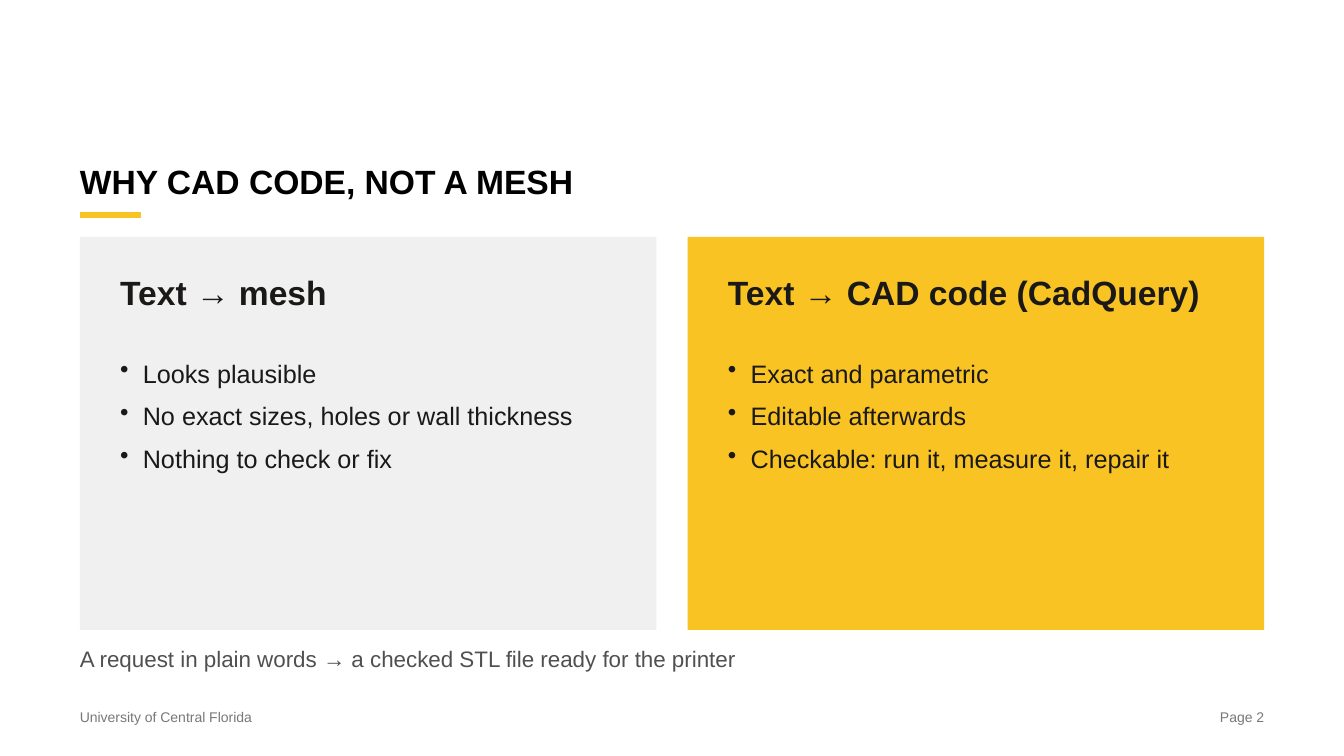
import pptx
import pptx.util
import pptx.dml.color
import pptx.enum.shapes
import pptx.enum.text
import pptx.oxml
import pptx.oxml.ns
from lxml import etree

Pt = pptx.util.Pt
ALIGN = pptx.enum.text.PP_ALIGN
ANCHOR = pptx.enum.text.MSO_ANCHOR

TITLE = "WHY CAD CODE, NOT A MESH"
CARDS = [
    {"heading": "Text → mesh", "fill": "mesh_card",
     "points": ["Looks plausible",
                "No exact sizes, holes or wall thickness",
                "Nothing to check or fix"]},
    {"heading": "Text → CAD code (CadQuery)", "fill": "code_card",
     "points": ["Exact and parametric",
                "Editable afterwards",
                "Checkable: run it, measure it, repair it"]},
]
SUMMARY = "A request in plain words → a checked STL file ready for the printer"
FOOTER = "University of Central Florida"
PAGE = "Page 2"

THEME = {
    "font": "Arial",
    "colors": {"title": "000000", "body": "1A1918", "summary": "505050",
               "footer": "787878", "accent": "F9C423",
               "mesh_card": "F0F0F0", "code_card": "F8C323"},
    "sizes": {"title": 24, "heading": 24, "body": 18, "summary": 16, "footer": 10},
}

SLIDE_W, SLIDE_H = 960, 540
MARGIN = 57
CONTENT_W = SLIDE_W - 2 * MARGIN
CARD_TOP, CARD_H, CARD_GAP, CARD_PAD = 169.2, 280.8, 22.4, 28.8
CARD_W = (CONTENT_W - CARD_GAP * (len(CARDS) - 1)) / len(CARDS)
FOOTER_TOP, FOOTER_W, FOOTER_H = 506.2, 161.3, 12.2
BULLET_INDENT, POINT_GAP = 16.2, 9


def color(name):
    return pptx.dml.color.RGBColor.from_string(THEME["colors"][name])


def add_bullet(paragraph):
    properties = paragraph._p.get_or_add_pPr()
    properties.set("marL", str(Pt(BULLET_INDENT)))
    properties.set("indent", str(-Pt(BULLET_INDENT)))
    bullet = etree.SubElement(properties, pptx.oxml.ns.qn("a:buChar"))
    bullet.set("char", "•")


def add_text(slide, lines, box, size, ink, bold=False, align=ALIGN.LEFT,
             anchor=ANCHOR.TOP, bulleted=False):
    frame = slide.shapes.add_textbox(*map(Pt, box)).text_frame
    frame.word_wrap = True
    frame.vertical_anchor = anchor
    frame.margin_left = frame.margin_right = 0
    frame.margin_top = frame.margin_bottom = 0
    frame.text = "\n".join(lines)
    for index, paragraph in enumerate(frame.paragraphs):
        if bulleted:
            add_bullet(paragraph)
        if index:
            paragraph.space_before = Pt(POINT_GAP)
        paragraph.alignment = align
        for run in paragraph.runs:
            run.font.name = THEME["font"]
            run.font.size = Pt(THEME["sizes"][size])
            run.font.bold = bold
            run.font.color.rgb = color(ink)


def add_accent(slide, left, y, width):
    accent = slide.shapes.add_connector(
        pptx.enum.shapes.MSO_CONNECTOR.STRAIGHT,
        Pt(left), Pt(y), Pt(left + width), Pt(y))
    accent.line.color.rgb = color("accent")
    accent.line.width = Pt(4)
    etree.SubElement(accent._element.spPr, pptx.oxml.ns.qn("a:effectLst"))


def add_card(slide, card, left):
    panel = slide.shapes.add_shape(
        pptx.enum.shapes.MSO_SHAPE.RECTANGLE,
        Pt(left), Pt(CARD_TOP), Pt(CARD_W), Pt(CARD_H))
    panel.shadow.inherit = False
    panel.fill.solid()
    panel.fill.fore_color.rgb = color(card["fill"])
    panel.line.fill.background()
    text_left, text_w = left + CARD_PAD, CARD_W - 2 * CARD_PAD
    add_text(slide, [card["heading"]], (text_left, CARD_TOP + 25.2, text_w, 43.2),
             "heading", "body", bold=True)
    add_text(slide, card["points"], (text_left, CARD_TOP + 86.4, text_w, 180),
             "body", "body", bulleted=True)


def main():
    deck = pptx.Presentation()
    deck.slide_width, deck.slide_height = Pt(SLIDE_W), Pt(SLIDE_H)
    slide = deck.slides.add_slide(deck.slide_layouts[6])

    add_text(slide, [TITLE], (MARGIN, 57, CONTENT_W, 87), "title", "title",
             bold=True, anchor=ANCHOR.BOTTOM)
    add_accent(slide, MARGIN, 153.4, 44)
    for index, card in enumerate(CARDS):
        add_card(slide, card, MARGIN + index * (CARD_W + CARD_GAP))
    add_text(slide, [SUMMARY], (MARGIN, 460.8, CONTENT_W, 28.8), "summary", "summary")
    add_text(slide, [FOOTER], (MARGIN, FOOTER_TOP, FOOTER_W, FOOTER_H),
             "footer", "footer")
    add_text(slide, [PAGE],
             (SLIDE_W - MARGIN - FOOTER_W, FOOTER_TOP, FOOTER_W, FOOTER_H),
             "footer", "footer", align=ALIGN.RIGHT)

    deck.save("out.pptx")


if __name__ == "__main__":
    main()
